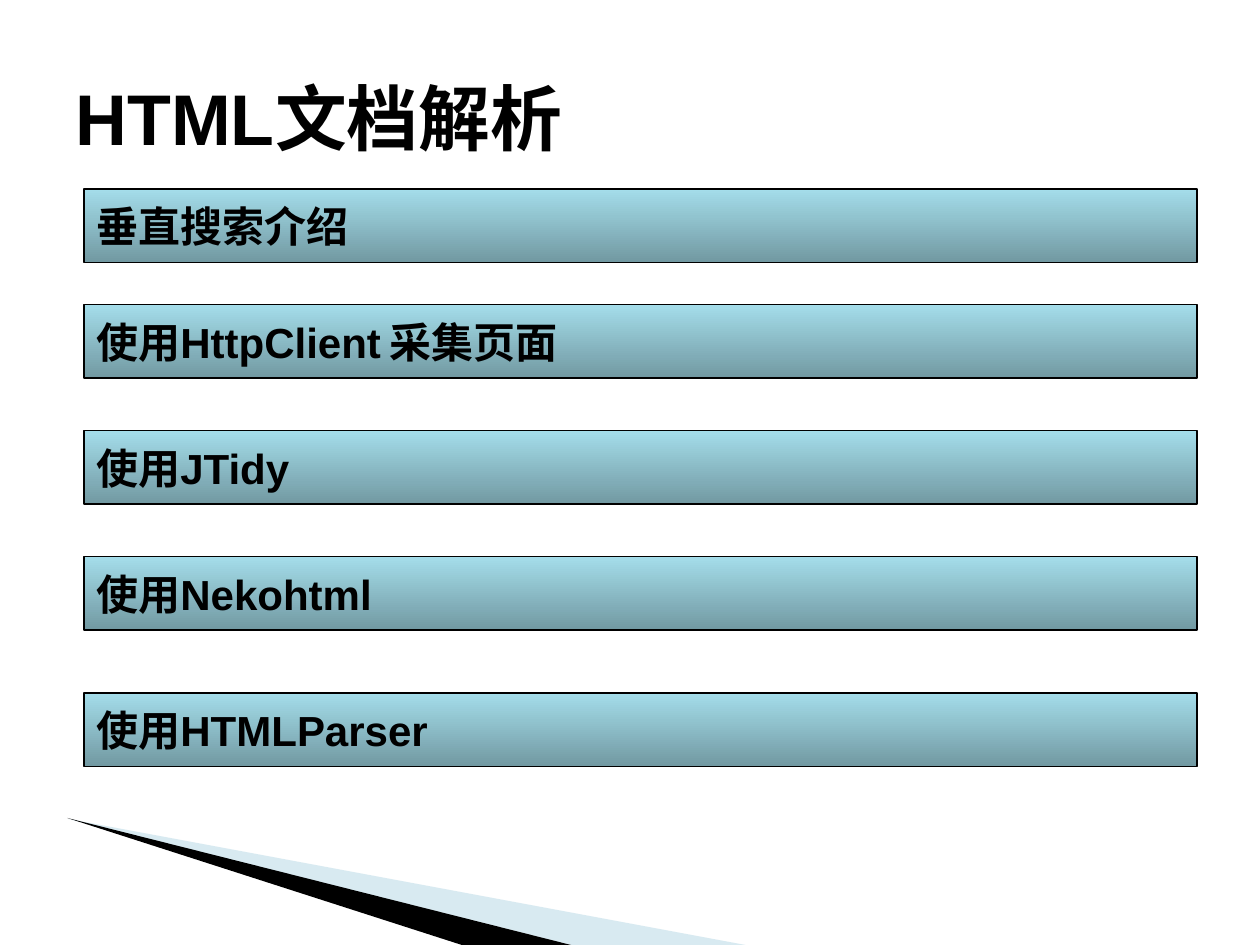
from dataclasses import dataclass

from lxml import etree
from pptx import Presentation
from pptx import util as u
from pptx.dml.color import RGBColor
from pptx.enum import shapes, text
from pptx.oxml.ns import qn


@dataclass(frozen=True)
class Theme:
    """Colours, type and the grid step of the deck."""
    ink: RGBColor = RGBColor.from_string("000000")
    bar_top: RGBColor = RGBColor.from_string("A4DDEA")
    bar_bottom: RGBColor = RGBColor.from_string("7299A2")
    wedge: RGBColor = RGBColor.from_string("9FCBDC")
    font: str = "Arial"
    title_size: int = 41
    topic_size: int = 24
    gap_size: int = 18
    step: int = u.Inches(1) // 12


THEME = Theme()
COLUMNS, ROWS = 120, 90
BAR_LEFT, BAR_WIDTH, BAR_HEIGHT = 8, 106, 7
TOPICS = [
    (18, ["垂直搜索介绍"]),
    (29, ["使用HttpClient", "采集页面"]),
    (41, ["使用JTidy"]),
    (53, ["使用Nekohtml"]),
    (66, ["使用HTMLParser"]),
]
WEDGES = [
    ([(6.5, 78), (71, ROWS), (54.4, ROWS)], THEME.wedge, 40),
    ([(6.4, 77.9), (54.4, ROWS), (44, ROWS)], THEME.ink, 100),
]


def grid(*cells):
    """Turn grid counts into lengths."""
    return [u.Emu(round(cell * THEME.step)) for cell in cells]


def add_span(para, words, size, bold=True):
    """Append one formatted run to a paragraph."""
    span = para.add_run()
    span.text = words
    span.font.color.rgb = THEME.ink
    for name, value in {"name": THEME.font, "size": u.Pt(size), "bold": bold}.items():
        setattr(span.font, name, value)


def set_frame(box, wrap):
    """Centre a box's text vertically and return its left-aligned paragraph."""
    frame = box.text_frame
    values = {"word_wrap": wrap, "vertical_anchor": text.MSO_ANCHOR.MIDDLE}
    for name, value in values.items():
        setattr(frame, name, value)
    para = frame.paragraphs[0]
    para.alignment = text.PP_ALIGN.LEFT
    return para


def add_wedge(page, points, color, opacity):
    """Draw a filled triangle in the lower corner."""
    start, *rest = [grid(*point) for point in points]
    builder = page.shapes.build_freeform(*start)
    builder.add_line_segments(rest)
    wedge = builder.convert_to_shape()
    wedge.shadow.inherit = False
    wedge.fill.solid()
    wedge.fill.fore_color.rgb = color
    wedge.line.fill.background()
    if opacity < 100:
        tint = wedge.fill._xPr.find(".//" + qn("a:srgbClr"))
        etree.SubElement(tint, qn("a:alpha")).set("val", str(opacity * 1000))


def set_title(page, words):
    """Place and format the title."""
    title = page.shapes.title
    title.left, title.top, title.width, title.height = grid(6, 3.6, 108, 15)
    add_span(set_frame(title, True), words, THEME.title_size)


def add_topic(page, row, parts):
    """Draw one shaded topic bar, its parts set apart by a small space."""
    bar = page.shapes.add_shape(
        shapes.MSO_SHAPE.RECTANGLE, *grid(BAR_LEFT, row, BAR_WIDTH, BAR_HEIGHT))
    bar.shadow.inherit = False
    bar.fill.gradient()
    bar.fill.gradient_angle = 270
    for stop, color in zip(bar.fill.gradient_stops, (THEME.bar_top, THEME.bar_bottom)):
        stop.color.rgb = color
    bar.line.color.rgb = THEME.ink
    bar.line.width = u.Pt(0.75)
    para = set_frame(bar, False)
    for index, words in enumerate(parts):
        if index:
            add_span(para, " ", THEME.gap_size, bold=False)
        add_span(para, words, THEME.topic_size)


def main():
    """Build the agenda slide and save it."""
    deck = Presentation()
    deck.slide_width, deck.slide_height = grid(COLUMNS, ROWS)
    page = deck.slides.add_slide(deck.slide_layouts[5])
    for wedge in WEDGES:
        add_wedge(page, *wedge)
    set_title(page, "HTML文档解析")
    for topic in TOPICS:
        add_topic(page, *topic)
    deck.save("out.pptx")


if __name__ == "__main__":
    main()
